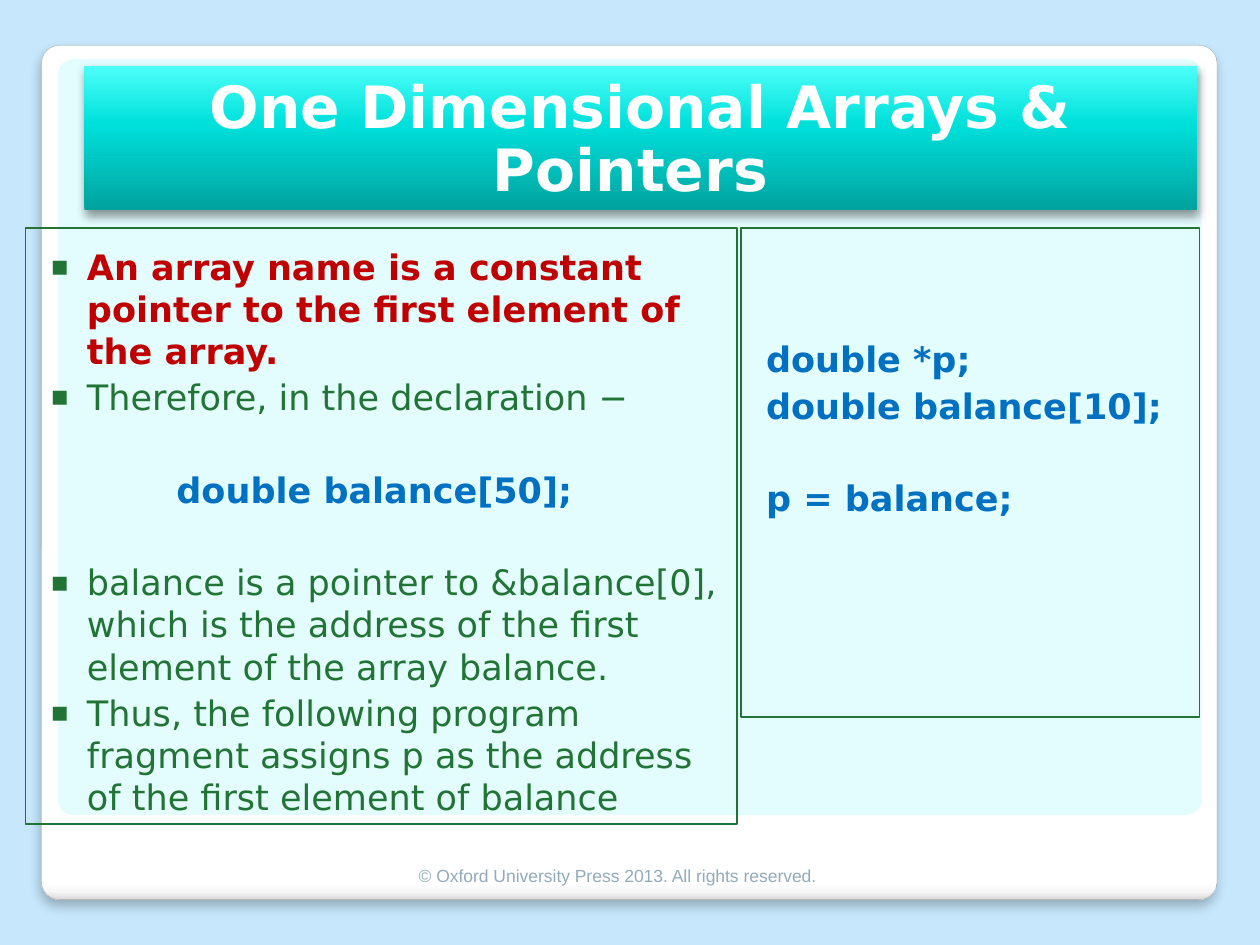
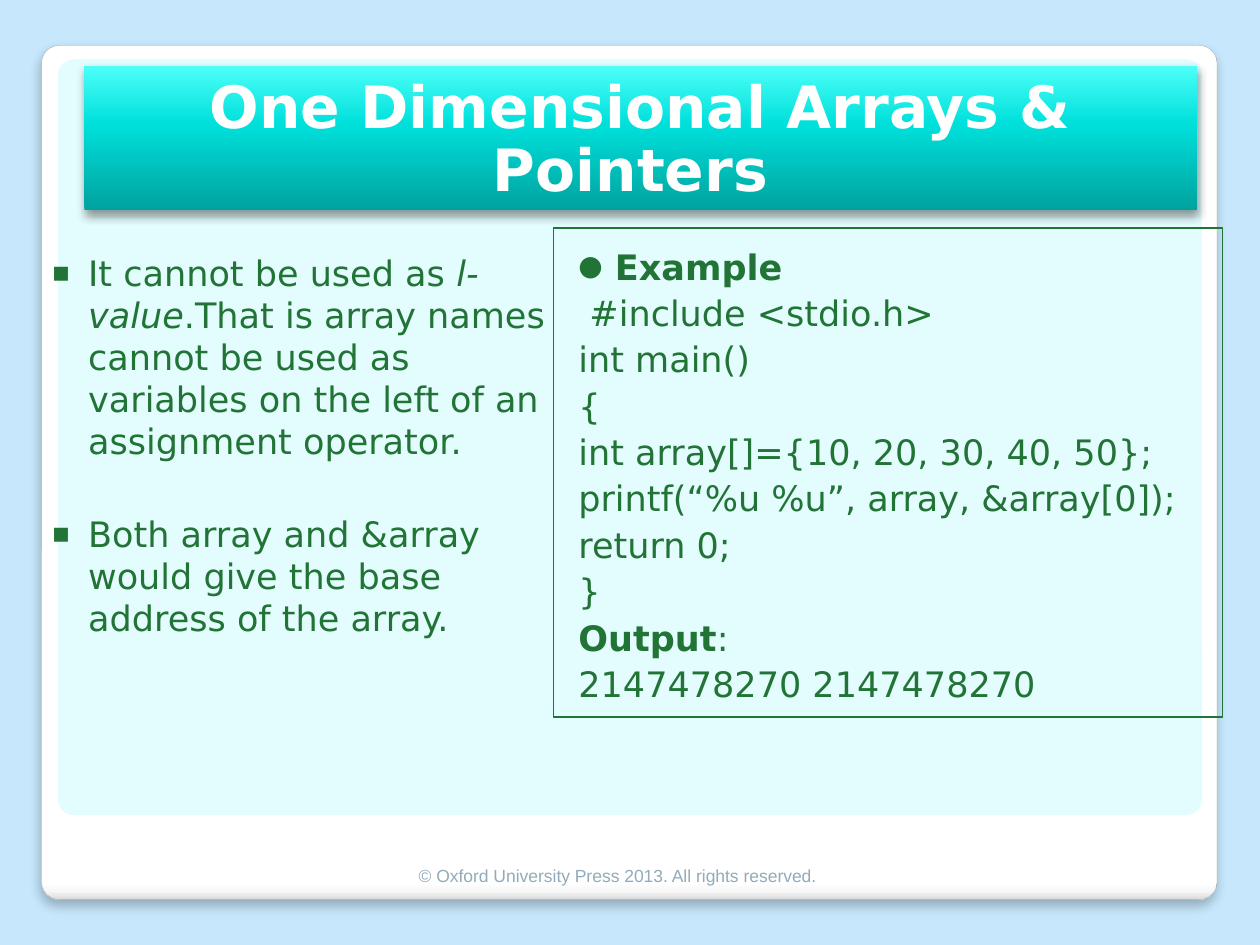
from lxml.etree import SubElement
from pptx import Presentation
from pptx.dml.color import RGBColor
from pptx.enum.shapes import MSO_SHAPE as Shape
from pptx.enum.text import MSO_ANCHOR as Anchor, MSO_AUTO_SIZE as AutoSize, PP_ALIGN as Align
from pptx.oxml.ns import qn
from pptx.util import Inches, Pt

COLORS = {
    "sky": "C6E7FC", "card_edge": "A4A4A4", "tint": "C9FAFC", "black": "000000",
    "green": "217435", "red": "C00000", "blue": "0070C0", "white": "FFFFFF",
    "footer": "92ABBA",
}
CARD_STOPS = [(0, "FFFFFF"), (98, "FFFFFF"), (99, "F7F7F7"), (100, "DADADA")]
TITLE_STOPS = [(0, "00A29E"), (60, "00E0DB"), (100, "4EFFF9")]
TITLE = "One Dimensional Arrays & Pointers "
FOOTER = "© Oxford University Press 2013. All rights reserved."
CARD_BOX = (0.33, 0.36, 9.33, 6.78)
TINT_BOX = (0.46, 0.47, 9.08, 6)
TITLE_BOX = (0.67, 0.52, 8.83, 1.15)
FOOTER_BOX = (0.67, 6.68, 8.46, 0.4)
GAP = 2.5
BLANK_LINE = 26.5
SKIP = GAP + BLANK_LINE


def rgb(name):
    return RGBColor.from_string(COLORS[name])


def place(shape, box):
    shape.left, shape.top, shape.width, shape.height = map(Inches, box)


def set_gradient(shape, stops, angle):
    shape.fill.gradient()
    shape.fill.gradient_angle = angle
    stop_list = shape.element.spPr.find(".//" + qn("a:gsLst"))
    for old_stop in list(stop_list):
        stop_list.remove(old_stop)
    for position, color in stops:
        stop = SubElement(stop_list, qn("a:gs"), pos=str(position * 1000))
        SubElement(stop, qn("a:srgbClr"), val=color)


def set_shadow(shape, alpha, blur, distance):
    shape.shadow.inherit = False
    effects = shape.element.spPr.find(qn("a:effectLst"))
    outer = SubElement(effects, qn("a:outerShdw"), blurRad=str(Pt(blur)),
                       dist=str(Pt(distance)), dir="5400000", algn="ctr", rotWithShape="0")
    color = SubElement(outer, qn("a:srgbClr"), val=COLORS["black"])
    SubElement(color, qn("a:alpha"), val=str(alpha * 1000))


def add_text(paragraph, text, size=20, font="DejaVu Sans", color="green", bold=False, italic=False):
    run = paragraph.add_run()
    run.text = text
    run.font.size = Pt(size)
    run.font.name = font
    run.font.color.rgb = rgb(color)
    run.font.bold = bold
    run.font.italic = italic


def set_bullet(paragraph, bullet, indent):
    props = paragraph._p.get_or_add_pPr()
    props.set("marL", str(Inches(0.29 if bullet else indent)))
    props.set("indent", str(Inches(-0.29 if bullet else 0)))
    if not bullet:
        SubElement(props, qn("a:buNone"))
        return
    bullet_color = SubElement(props, qn("a:buClr"))
    SubElement(bullet_color, qn("a:srgbClr"), val=COLORS["green"])
    SubElement(props, qn("a:buSzPct"), val="80000")
    SubElement(props, qn("a:buFont"), typeface="DejaVu Sans")
    SubElement(props, qn("a:buChar"), char=bullet)


def line(*runs, bullet=None, indent=0, before=GAP, **style):
    runs = [(run, {}) if isinstance(run, str) else run for run in runs]
    return {"runs": [(text, {**style, **extra}) for text, extra in runs],
            "bullet": bullet, "indent": indent, "before": before}


def fill_column(column, box, lines, outlined=True, blanks_above=0):
    place(column, box)
    if outlined:
        column.line.color.rgb = rgb("green")
        column.line.width = Pt(0.75)
    frame = column.text_frame
    frame.word_wrap = True
    frame.auto_size = AutoSize.NONE
    frame.vertical_anchor = Anchor.TOP
    frame.margin_left, frame.margin_right = Inches(0.2), Inches(0.1)
    frame.margin_top = Inches(0.1) + Pt(GAP + blanks_above * BLANK_LINE)
    frame.margin_bottom = Inches(0.05)
    for number, entry in enumerate(lines):
        paragraph = frame.add_paragraph() if number else frame.paragraphs[0]
        set_bullet(paragraph, entry["bullet"], entry["indent"])
        paragraph.space_before = Pt(entry["before"] if number else 0)
        for text, style in entry["runs"]:
            add_text(paragraph, text, **style)


def style_title(title, box):
    place(title, box)
    set_gradient(title, TITLE_STOPS, 90)
    set_shadow(title, 40, 5.2, 3)
    frame = title.text_frame
    frame.word_wrap = True
    frame.auto_size = AutoSize.NONE
    frame.vertical_anchor = Anchor.BOTTOM
    heading = frame.paragraphs[0]
    heading.alignment = Align.CENTER
    heading.line_spacing = 0.9
    add_text(heading, TITLE, size=33.3, color="white", bold=True)


def add_footer(slide, box):
    footer = slide.shapes.add_textbox(*map(Inches, box))
    footer.text_frame.word_wrap = True
    footer.text_frame.vertical_anchor = Anchor.BOTTOM
    notice = footer.text_frame.paragraphs[0]
    notice.alignment = Align.CENTER
    add_text(notice, FOOTER, size=10, font="Arial", color="footer")


def add_panel(slide, box):
    panel = slide.shapes.add_shape(Shape.ROUNDED_RECTANGLE, *map(Inches, box))
    panel.adjustments[0] = 0.021
    panel.shadow.inherit = False
    return panel


def decorate_master(master, slide):
    master.background.fill.solid()
    master.background.fill.fore_color.rgb = rgb("sky")
    card = add_panel(slide, CARD_BOX)
    set_gradient(card, CARD_STOPS, 270)
    set_shadow(card, 25, 6, 4)
    card.line.color.rgb = rgb("card_edge")
    card.line.width = Pt(0.16)
    tint = add_panel(slide, TINT_BOX)
    tint.fill.solid()
    tint.fill.fore_color.rgb = rgb("tint")
    tint.line.fill.background()
    tint_color = tint.element.spPr.find(qn("a:solidFill")).find(qn("a:srgbClr"))
    SubElement(tint_color, qn("a:alpha"), val="50000")
    master_tree = master.placeholders[0].element.getparent()
    for position, panel in enumerate((card, tint), start=2):
        master_tree.insert(position, panel.element)


def add_lesson(prs, left, right):
    slide = prs.slides.add_slide(prs.slide_layouts.get_by_name("Two Content"))
    style_title(slide.shapes.title, TITLE_BOX)
    fill_column(slide.placeholders[1], **left)
    fill_column(slide.placeholders[2], **right)
    add_footer(slide, FOOTER_BOX)
    return slide


def main():
    prs = Presentation()
    prs.slide_width, prs.slide_height = Inches(10), Inches(7.5)
    code = {"color": "blue", "bold": True}

    array_name = {"box": (0.2, 1.81, 5.65, 4.73), "lines": [
        line("An array name is a constant pointer to the first element of the array.",
             bullet="▪", color="red", bold=True),
        line("Therefore, in the declaration −", bullet="▪"),
        line("double balance[50];", indent=1, before=SKIP, **code),
        line("balance is a pointer to &balance[0], which is the address of the first "
             "element of the array balance.", bullet="▪", before=SKIP),
        line("Thus, the following program fragment assigns p as the address of the "
             "first element of balance", bullet="▪"),
    ]}
    assignment = {"box": (5.88, 1.81, 3.64, 3.88), "blanks_above": 2, "lines": [
        line("double *p;", **code),
        line("double balance[10];", **code),
        line("p = balance;", before=SKIP, **code),
    ]}
    first_slide = add_lesson(prs, array_name, assignment)
    decorate_master(prs.slide_master, first_slide)

    restrictions = {"box": (0.21, 1.86, 4.41, 4.73), "outlined": False, "lines": [
        line("It cannot be used as ", ("l- value", {"italic": True}),
             ".That is array names cannot be used as variables on the left of an "
             "assignment operator.", bullet="▪"),
        line("Both array and &array would give the base address of the array.",
             bullet="▪", before=SKIP),
    ]}
    program = [" #include <stdio.h>", "int main()", "{", "int array[]={10, 20, 30, 40, 50};",
               "printf(“%u %u”, array, &array[0]);", "return 0;", "}"]
    example = {"box": (4.39, 1.81, 5.31, 3.88), "lines": [
        line("Example", bullet="●", bold=True),
        *map(line, program),
        line(("Output", {"bold": True}), ":"),
        line("2147478270 2147478270"),
    ]}
    add_lesson(prs, restrictions, example)
    prs.save("out.pptx")


if __name__ == "__main__":
    main()
